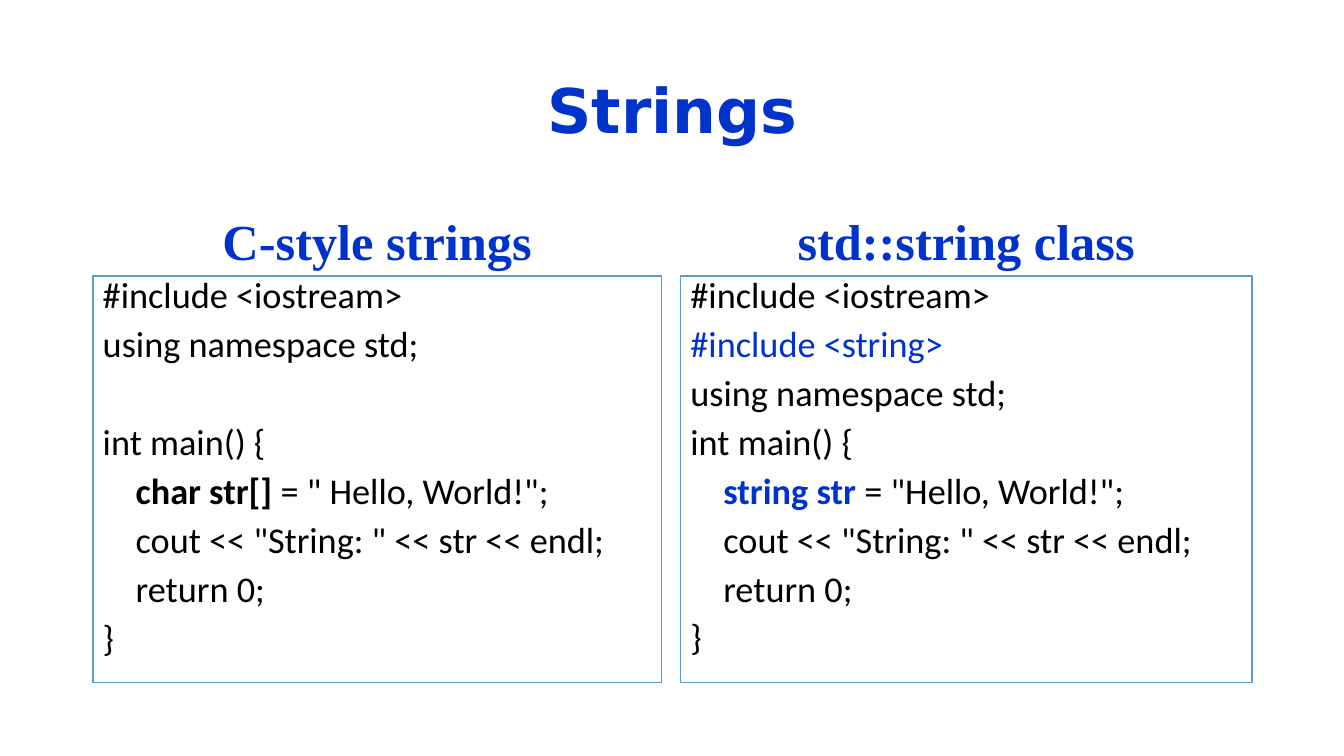
from pptx import Presentation
from pptx.dml.color import RGBColor
from pptx.enum.shapes import MSO_SHAPE
from pptx.enum.text import MSO_ANCHOR, MSO_AUTO_SIZE, PP_ALIGN
from pptx.util import Cm, Pt

RECTANGLE = MSO_SHAPE.RECTANGLE
TOP, MIDDLE, BOTTOM = MSO_ANCHOR.TOP, MSO_ANCHOR.MIDDLE, MSO_ANCHOR.BOTTOM
LEFT, CENTER = PP_ALIGN.LEFT, PP_ALIGN.CENTER
NO_AUTOFIT = MSO_AUTO_SIZE.NONE
TITLE_ONLY = 5

BLUE = RGBColor(0x00, 0x33, 0xCC)
BORDER = RGBColor(0x5B, 0x9B, 0xD5)
BLACK = RGBColor(0x00, 0x00, 0x00)
WHITE = RGBColor(0xFF, 0xFF, 0xFF)

CODE_INDENT = Cm(0.83)
LINE_GAP = Pt(10)
SKIPPED_LINE_GAP = Pt(45)

# Code lines: (indent level, space before, runs as (text, colour, bold))
MAIN_START = "int main() {"
MAIN_END = [
    (1, LINE_GAP, [('cout << "String: " << str << endl;', BLACK, False)]),
    (1, LINE_GAP, [("return 0;", BLACK, False)]),
    (0, LINE_GAP, [("}", BLACK, False)]),
]
C_STYLE_CODE = [
    (0, LINE_GAP, [("#include <iostream>", BLACK, False)]),
    (0, LINE_GAP, [("using namespace std;", BLACK, False)]),
    (0, SKIPPED_LINE_GAP, [(MAIN_START, BLACK, False)]),
    (1, LINE_GAP, [("char str[] ", BLACK, True),
                   ('= " Hello, World!";', BLACK, False)]),
] + MAIN_END
STD_STRING_CODE = [
    (0, LINE_GAP, [("#include <iostream>", BLACK, False)]),
    (0, LINE_GAP, [("#include <string>", BLUE, False)]),
    (0, LINE_GAP, [("using namespace std;", BLACK, False)]),
    (0, LINE_GAP, [(MAIN_START, BLACK, False)]),
    (1, LINE_GAP, [("string str ", BLUE, True),
                   ('= "Hello, World!";', BLACK, False)]),
] + MAIN_END


class StringsSlide:
    """Style and current slide, with a method for each kind of element."""

    def __init__(self, presentation):
        layout = presentation.slide_layouts[TITLE_ONLY]
        self.slide = presentation.slides.add_slide(layout)

    def set_heading(self, frame, text, font_name, size, anchor):
        frame.word_wrap = True
        frame.auto_size = NO_AUTOFIT
        frame.vertical_anchor = anchor
        frame.text = text
        paragraph = frame.paragraphs[0]
        paragraph.alignment = CENTER
        paragraph.line_spacing = 0.9
        font = paragraph.font
        font.name, font.size, font.bold = font_name, Pt(size), True
        font.color.rgb = BLUE

    def title(self, text, left, top, width, height):
        title = self.slide.shapes.title
        title.left, title.top = Cm(left), Cm(top)
        title.width, title.height = Cm(width), Cm(height)
        self.set_heading(title.text_frame, text, "DejaVu Sans", 44, MIDDLE)

    def column_heading(self, text, left, top, width, height):
        heading = self.slide.shapes.add_textbox(
            Cm(left), Cm(top), Cm(width), Cm(height))
        self.set_heading(heading.text_frame, text, "Times New Roman", 36, BOTTOM)

    def code_box(self, lines, left, top, width, height):
        box = self.slide.shapes.add_shape(
            RECTANGLE, Cm(left), Cm(top), Cm(width), Cm(height))
        box.shadow.inherit = False
        box.fill.solid()
        box.fill.fore_color.rgb = WHITE
        box.line.color.rgb = BORDER
        box.line.width = Pt(1)
        frame = box.text_frame
        frame.word_wrap = True
        frame.vertical_anchor = TOP
        for number, (level, gap, runs) in enumerate(lines):
            paragraph = frame.add_paragraph() if number else frame.paragraphs[0]
            paragraph.alignment = LEFT
            paragraph.line_spacing = 0.8
            paragraph.space_before = gap
            paragraph.font.name, paragraph.font.size = "Calibri", Pt(25.9)
            paragraph._p.get_or_add_pPr().set("marL", str(level * CODE_INDENT))
            for text, colour, bold in runs:
                run = paragraph.add_run()
                run.text = text
                run.font.color.rgb = colour
                run.font.bold = bold


def main():
    presentation = Presentation()
    presentation.slide_width, presentation.slide_height = Cm(33.87), Cm(19.05)
    strings = StringsSlide(presentation)

    # Title
    strings.title("Strings", 2.34, 1.02, 29.21, 3.68)

    # Two columns: heading above code
    columns = [
        ("C-style strings", C_STYLE_CODE, 2.34, 14.33),
        ("std::string class", STD_STRING_CODE, 17.15, 14.4),
    ]
    for heading, code, left, width in columns:
        strings.column_heading(heading, left, 4.67, width, 2.29)
        strings.code_box(code, left, 6.96, width, 10.24)

    presentation.save("out.pptx")


if __name__ == "__main__":
    main()
